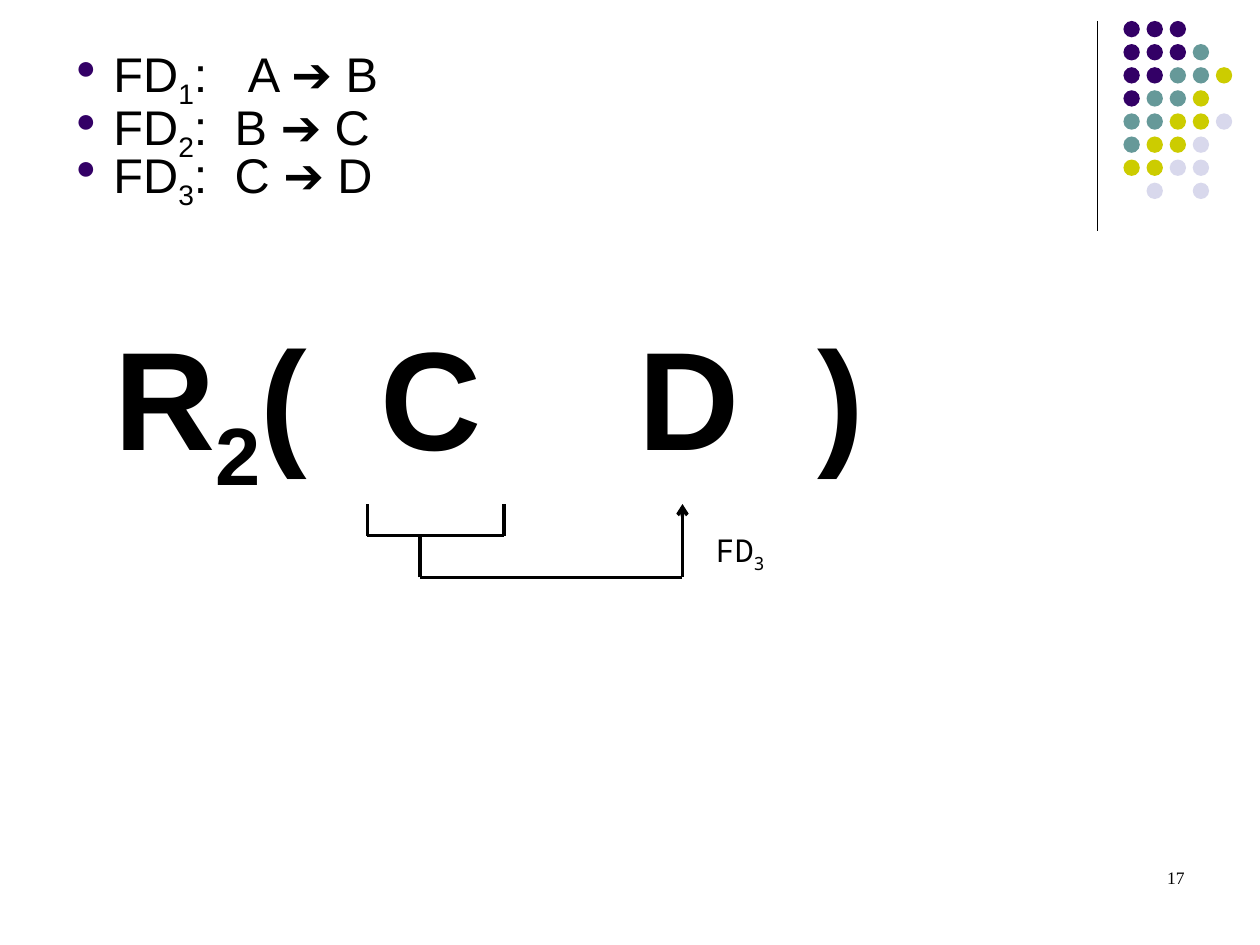
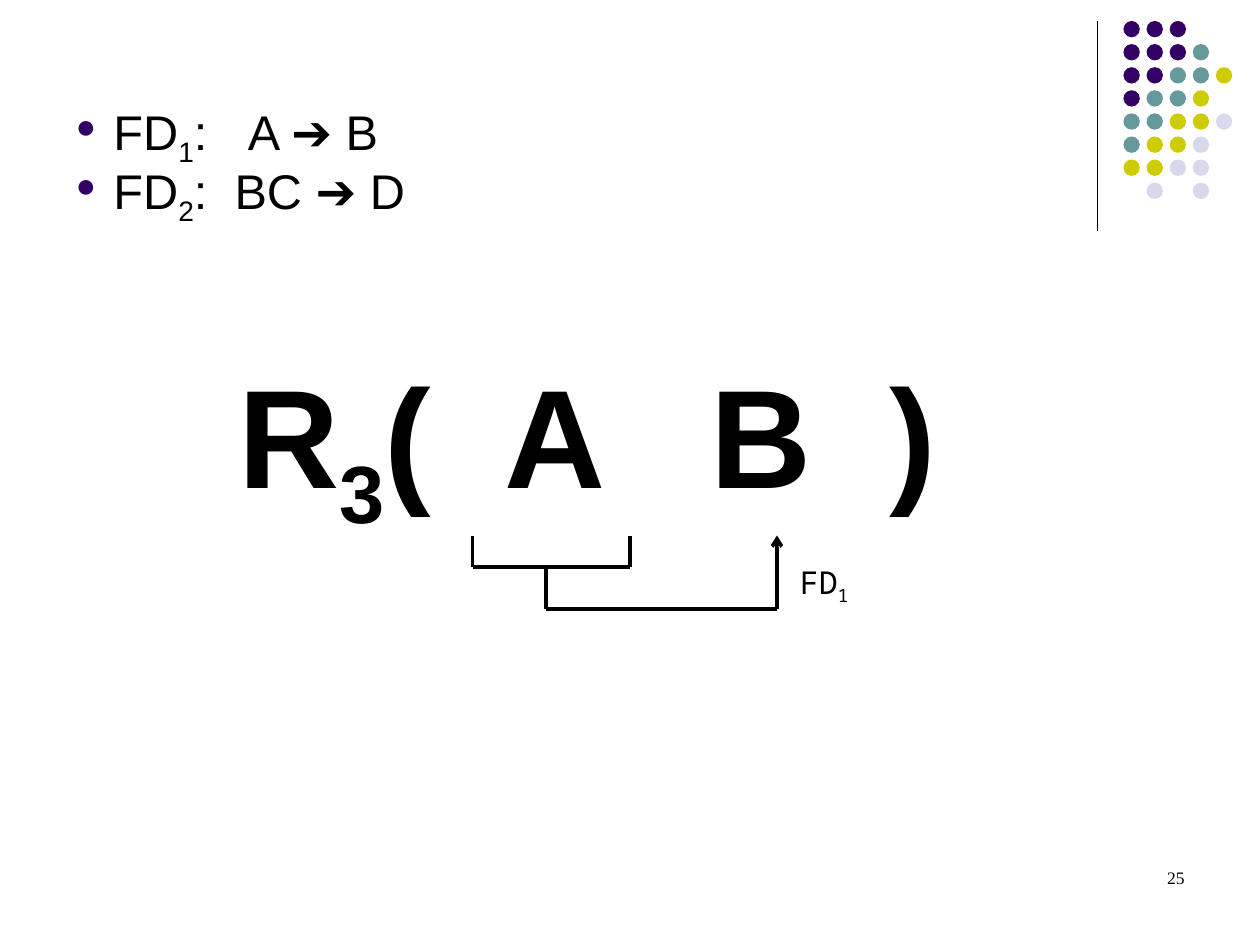
"""Two slides on functional dependencies in decomposed relations."""
import pptx
import pptx.util
import pptx.dml.color
import pptx.enum.shapes
import pptx.enum.text
import pptx.oxml.ns
from lxml import etree

BLACK = pptx.dml.color.RGBColor(0x00, 0x00, 0x00)
WHITE = pptx.dml.color.RGBColor(0xFF, 0xFF, 0xFF)
PURPLE = pptx.dml.color.RGBColor(0x33, 0x00, 0x66)
TEAL = pptx.dml.color.RGBColor(0x66, 0x99, 0x99)
OLIVE = pptx.dml.color.RGBColor(0xCC, 0xCC, 0x00)
LAVENDER = pptx.dml.color.RGBColor(0xD8, 0xD8, 0xEC)

DOT_COLOURS = {"P": PURPLE, "T": TEAL, "O": OLIVE, "L": LAVENDER}
DOT_ROWS = ["PPP", "PPPT", "PPTTO", "PTTO", "TTOOL", "TOOL", "OOLL", " L L"]
DOT_PITCH, DOT_SIZE = 2.2, 1.56
BRACKET_DEPTH, STEM_DROP = 3, 4

qn = pptx.oxml.ns.qn
deck = pptx.Presentation()
deck.slide_width = pptx.util.Inches(10)
deck.slide_height = pptx.util.Inches(7.5)
COLUMN = deck.slide_width / 120
ROW = deck.slide_height / 90

RELATIONS = [
    {
        "number": "17", "list_row": 5.2, "line_spacing": 0.6,
        "dependencies": [("1", "A ➔ B", 15.4, 0), ("2", "B ➔ C", 7.7, 7.5), ("3", "C ➔ D", 7.7, 4.5)],
        "schema": ("R", "2", "(\tC\tD\t)"), "schema_at": (9.7, 29, 74.2),
        "stops": (2.11, 4.16, 5.58),
        "bracket": (35, 48), "stem": 40, "target": 65, "top": 48,
        "label": "3", "label_column": 67,
    },
    {
        "number": "25", "list_row": 10.2, "line_spacing": 0.7,
        "dependencies": [("1", "A ➔ B", 15.4, 0), ("2", "BC ➔ D", 7.7, 7)],
        "schema": ("R", "3", "(\tA\tB\t)"), "schema_at": (21.5, 32.6, 70.4),
        "stops": (2.11, 3.75, 5.17),
        "bracket": (45, 60), "stem": 52, "target": 74, "top": 51,
        "label": "1", "label_column": 75,
    },
]


def add_runs(paragraph, texts, font_name, size, bold=False):
    """Add the texts as runs, the second one as a subscript."""
    for position, text in enumerate(texts):
        run = paragraph.add_run()
        run.text = text
        run.font.name = font_name
        run.font.size = pptx.util.Pt(size)
        run.font.bold = bold
        run.font.color.rgb = BLACK
        if position == 1:
            run.font._element.set("baseline", "-25000")


def add_line(shapes, start, end, width):
    """Draw a black line between two (column, row) points."""
    line = shapes.add_connector(
        pptx.enum.shapes.MSO_CONNECTOR.STRAIGHT,
        int(start[0] * COLUMN), int(start[1] * ROW), int(end[0] * COLUMN), int(end[1] * ROW))
    line.line.color.rgb = BLACK
    line.line.width = pptx.util.Pt(width)
    etree.SubElement(line.element.spPr, qn("a:effectLst"))
    return line


layout = deck.slide_layouts[1]
layout.background.fill.solid()
layout.background.fill.fore_color.rgb = WHITE

for relation in RELATIONS:
    slide = deck.slides.add_slide(layout)

    if relation is RELATIONS[0]:
        divider = add_line(slide.shapes, (104.5, 2), (104.5, 22), 0.75)
        dots = slide.shapes.add_group_shape()
        for row, letters in enumerate(DOT_ROWS):
            for column, letter in enumerate(letters):
                if letter == " ":
                    continue
                dot = dots.shapes.add_shape(
                    pptx.enum.shapes.MSO_SHAPE.OVAL,
                    int((107 + column * DOT_PITCH) * COLUMN), int((2 + row * DOT_PITCH) * ROW),
                    int(DOT_SIZE * COLUMN), int(DOT_SIZE * ROW))
                dot.shadow.inherit = False
                dot.fill.solid()
                dot.fill.fore_color.rgb = DOT_COLOURS[letter]
                dot.line.fill.background()
        for ornament in (divider, dots):
            layout.shapes.element.append(ornament.element)

    dependencies = slide.placeholders[1]
    dependencies.left, dependencies.top = int(6 * COLUMN), int(relation["list_row"] * ROW)
    dependencies.width, dependencies.height = int(108 * COLUMN), int(25 * ROW)
    frame = dependencies.text_frame
    frame.auto_size = pptx.enum.text.MSO_AUTO_SIZE.NONE
    frame.vertical_anchor = pptx.enum.text.MSO_ANCHOR.TOP
    for index, (number, rule, gap, space_before) in enumerate(relation["dependencies"]):
        paragraph = frame.add_paragraph() if index else frame.paragraphs[0]
        properties = paragraph._p.get_or_add_pPr()
        properties.set("marL", str(pptx.util.Inches(0.3)))
        properties.set("indent", str(-pptx.util.Inches(0.3)))
        bullet_colour = etree.SubElement(properties, qn("a:buClr"))
        etree.SubElement(bullet_colour, qn("a:srgbClr"), val=str(PURPLE))
        etree.SubElement(properties, qn("a:buSzPct"), val="70000")
        etree.SubElement(properties, qn("a:buFont"), typeface="Arial")
        etree.SubElement(properties, qn("a:buChar"), char="●")
        paragraph.line_spacing = relation["line_spacing"]
        paragraph.space_before = pptx.util.Pt(space_before)
        add_runs(paragraph, ("FD", number, ":", " ", rule), "Arial", 27.8)
        paragraph.runs[3].font._element.set("spc", str(int(gap * 100)))

    schema = slide.shapes.title
    column, row, width = relation["schema_at"]
    schema.left, schema.top = int(column * COLUMN), int(row * ROW)
    schema.width, schema.height = int(width * COLUMN), int(19.4 * ROW)
    schema.text_frame.auto_size = pptx.enum.text.MSO_AUTO_SIZE.NONE
    schema.text_frame.vertical_anchor = pptx.enum.text.MSO_ANCHOR.TOP
    paragraph = schema.text_frame.paragraphs[0]
    stops = etree.SubElement(paragraph._p.get_or_add_pPr(), qn("a:tabLst"))
    for stop in relation["stops"]:
        etree.SubElement(stops, qn("a:tab"), pos=str(pptx.util.Inches(stop)), algn="l")
    paragraph.alignment = pptx.enum.text.PP_ALIGN.LEFT
    add_runs(paragraph, relation["schema"], "Arial", 80, True)

    left, right = relation["bracket"]
    stem, target, top = relation["stem"], relation["target"], relation["top"]
    middle = top + BRACKET_DEPTH
    bottom = middle + STEM_DROP
    arrow_parts = slide.shapes.add_group_shape()
    for start, end in [
        ((left, middle), (right, middle)),
        ((left, middle), (left, top)),
        ((right, middle), (right, top)),
        ((stem, bottom), (stem, middle)),
        ((stem, bottom), (target, bottom)),
        ((target, bottom), (target, top)),
    ]:
        segment = add_line(arrow_parts.shapes, start, end, 2)
    etree.SubElement(segment.element.spPr.find(qn("a:ln")), qn("a:tailEnd"), type="arrow")

    label = slide.shapes.add_textbox(
        int(relation["label_column"] * COLUMN), int((top + 2) * ROW), int(11 * COLUMN), int(5.3 * ROW))
    label.text_frame.word_wrap = True
    add_runs(label.text_frame.paragraphs[0], ("FD", relation["label"]), "Noto Sans Mono", 18)

    page_number = slide.shapes.add_textbox(
        int(86 * COLUMN), int(82 * ROW), int(28 * COLUMN), int(6 * ROW))
    page_number.text_frame.word_wrap = True
    paragraph = page_number.text_frame.paragraphs[0]
    paragraph.alignment = pptx.enum.text.PP_ALIGN.RIGHT
    add_runs(paragraph, (relation["number"],), "Times New Roman", 10)

deck.save("out.pptx")
